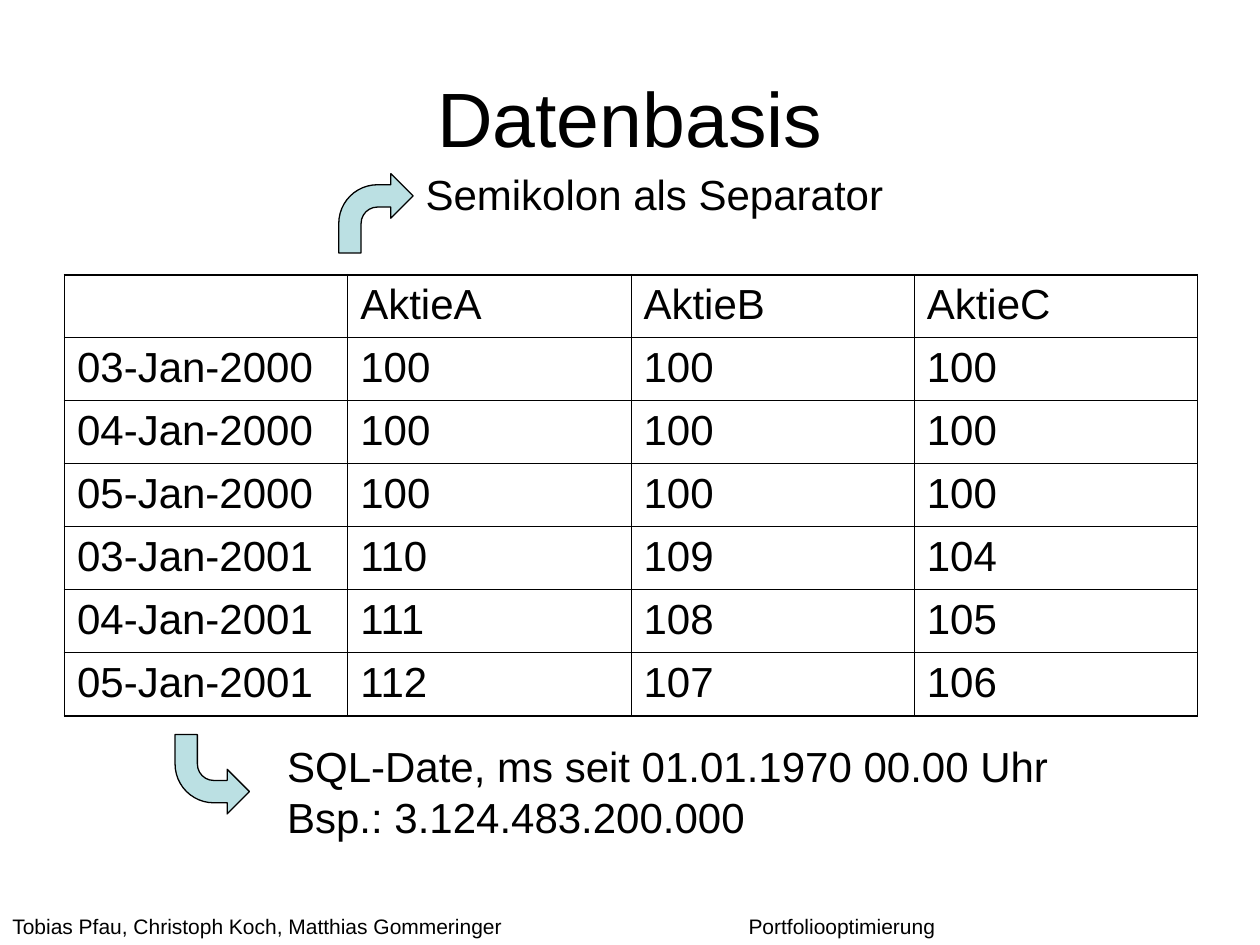
from typing import NamedTuple

import pptx
import pptx.dml.color
import pptx.enum.shapes
import pptx.enum.text
import pptx.oxml
import pptx.oxml.ns
import pptx.util
from pptx.util import Cm, Pt

BLACK = pptx.dml.color.RGBColor(0x00, 0x00, 0x00)
PALE_TEAL = pptx.dml.color.RGBColor(0xBB, 0xE0, 0xE3)
FONT = "Arial"
BODY_SIZE = 24
INNER_BORDER, OUTER_BORDER = Pt(0.45), Pt(1.08)

PRICES = [
    ("", "AktieA", "AktieB", "AktieC"),
    ("03-Jan-2000", "100", "100", "100"),
    ("04-Jan-2000", "100", "100", "100"),
    ("05-Jan-2000", "100", "100", "100"),
    ("03-Jan-2001", "110", "109", "104"),
    ("04-Jan-2001", "111", "108", "105"),
    ("05-Jan-2001", "112", "107", "106"),
]


class Box(NamedTuple):
    """Position and size in centimetres."""
    left: float
    top: float
    width: float
    height: float

    def lengths(self) -> list:
        return [Cm(value) for value in self]


class Note(NamedTuple):
    """An explanation and the bent arrow that leads to it."""
    text: str
    text_box: Box
    arrow_box: Box
    arrow_down: bool


NOTES = [
    Note("SQL-Date, ms seit 01.01.1970 00.00 Uhr\vBsp.: 3.124.483.200.000",
         Box(5.54, 14.81, 16, 2.29), Box(3.53, 14.81, 1.5, 1.6), True),
    Note("Semikolon als Separator",
         Box(8.33, 3.28, 9.8, 1.27), Box(6.83, 3.5, 1.5, 1.6), False),
]


def style(paragraph, size: float, space_before: float = 0) -> None:
    paragraph.font.name = FONT
    paragraph.font.size = Pt(size)
    paragraph.font.color.rgb = BLACK
    paragraph.space_before = Pt(space_before)


def add_text(slide, text: str, box: Box, size: float, space_before: float):
    frame = slide.shapes.add_textbox(*box.lengths()).text_frame
    frame.word_wrap = True
    frame.auto_size = pptx.enum.text.MSO_AUTO_SIZE.SHAPE_TO_FIT_TEXT
    frame.text = text
    style(frame.paragraphs[0], size, space_before)
    return frame.paragraphs[0]


def add_tab_stop(paragraph, position: int) -> None:
    properties = paragraph._p.get_or_add_pPr()
    properties.append(pptx.oxml.parse_xml(
        f'<a:tabLst {pptx.oxml.ns.nsdecls("a")}>'
        f'<a:tab pos="{position}" algn="l"/></a:tabLst>'))
    # Tab stops come before the default run properties
    defaults = properties.find(pptx.oxml.ns.qn("a:defRPr"))
    if defaults is not None:
        properties.append(defaults)


def add_bent_arrow(slide, box: Box, down: bool) -> None:
    arrow = slide.shapes.add_shape(
        pptx.enum.shapes.MSO_SHAPE.BENT_ARROW, *box.lengths())
    for index, share in enumerate((0.3, 0.3, 0.3, 0.52)):
        arrow.adjustments[index] = share
    arrow.shadow.inherit = False
    arrow.fill.solid()
    arrow.fill.fore_color.rgb = PALE_TEAL
    arrow.line.color.rgb = BLACK
    arrow.line.width = Pt(0.75)
    if down:
        arrow._element.spPr.xfrm.set("flipV", "1")


def set_borders(cell, widths: dict) -> None:
    properties = cell._tc.get_or_add_tcPr()
    for position, (side, width) in enumerate(widths.items()):
        properties.insert(position, pptx.oxml.parse_xml(
            f'<a:ln{side} {pptx.oxml.ns.nsdecls("a")} w="{width}">'
            f'<a:solidFill><a:srgbClr val="{BLACK}"/></a:solidFill>'
            f'</a:ln{side}>'))


def add_price_table(slide, rows: list, box: Box) -> None:
    last_row, last_column = len(rows) - 1, len(rows[0]) - 1
    table = slide.shapes.add_table(
        len(rows), len(rows[0]), *box.lengths()).table
    table.first_row = table.horz_banding = False
    for r, row in enumerate(rows):
        for c, value in enumerate(row):
            cell = table.cell(r, c)
            cell.text = value
            style(cell.text_frame.paragraphs[0], BODY_SIZE, 6)
            cell.fill.background()
            outer = {"L": c == 0, "R": c == last_column,
                     "T": r == 0, "B": r == last_row}
            set_borders(cell, {
                side: OUTER_BORDER if edge else INNER_BORDER
                for side, edge in outer.items()})


def main() -> None:
    presentation = pptx.Presentation()
    presentation.slide_width, presentation.slide_height = Cm(25.4), Cm(19.05)
    slide = presentation.slides.add_slide(presentation.slide_layouts[5])

    # Title
    title = slide.shapes.title
    title.left, title.top, title.width, title.height = Box(
        1.27, 0.76, 22.86, 3.18).lengths()
    title.text = "Datenbasis"
    title.text_frame.vertical_anchor = pptx.enum.text.MSO_ANCHOR.MIDDLE
    heading = title.text_frame.paragraphs[0]
    heading.alignment = pptx.enum.text.PP_ALIGN.CENTER
    style(heading, 44)

    # Price table
    add_price_table(slide, PRICES, Box(1.3, 5.54, 22.84, 8.89))

    # Explanations with their arrows
    for note in NOTES:
        add_text(slide, note.text, note.text_box, BODY_SIZE, 15)
        add_bent_arrow(slide, note.arrow_box, note.arrow_down)

    # Footer: authors and topic
    footer = add_text(
        slide,
        "Tobias Pfau, Christoph Koch, Matthias Gommeringer"
        "\tPortfoliooptimierung",
        Box(0, 18.29, 25.4, 0.76), 12, 7.5)
    add_tab_stop(footer, Cm(14.84))

    presentation.save("out.pptx")


if __name__ == "__main__":
    main()
